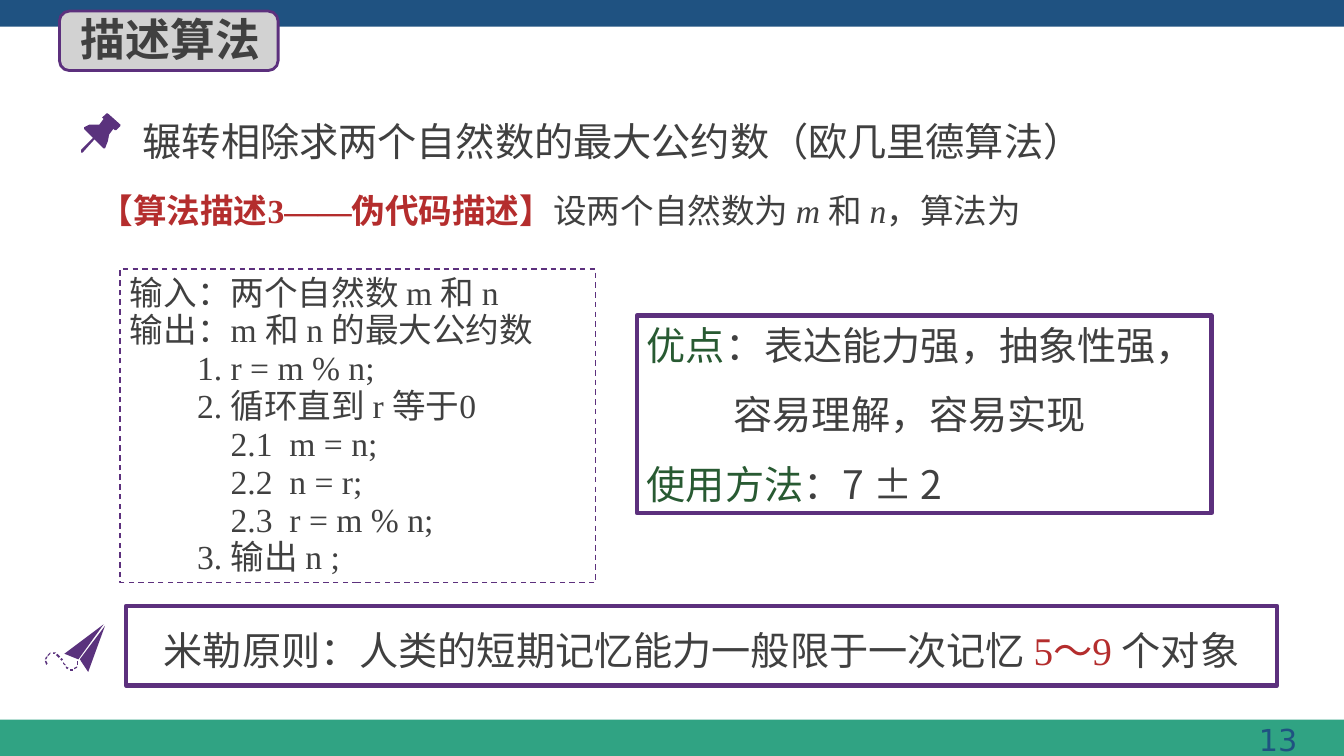
from dataclasses import dataclass
from math import hypot
from typing import Optional

from lxml.etree import SubElement
from pptx import Presentation
from pptx.dml.color import RGBColor
from pptx.enum.dml import MSO_LINE
from pptx.enum.shapes import MSO_SHAPE
from pptx.enum.text import MSO_ANCHOR, MSO_AUTO_SIZE, PP_ALIGN
from pptx.oxml.ns import qn
from pptx.util import Pt

COLORS = {
    "text": "404040", "red": "B42D2D", "green": "285A32", "blue": "1F5281",
    "teal": "30A383", "frame": "5C307D", "icon": "5A327D", "badge": "D2D2D2",
}
SANS = "Noto Sans CJK SC"
SERIF = "Times New Roman"


@dataclass
class Span:
    text: str
    color: str = "text"
    font: str = SANS
    bold: bool = False
    italic: bool = False


@dataclass
class Line:
    spans: list[Span]
    indent: float = 0


@dataclass
class Panel:
    left: float
    top: float
    width: float
    height: float
    fill: Optional[str] = None
    line: Optional[str] = None
    weight: float = 0
    dashed: bool = False
    kind: MSO_SHAPE = MSO_SHAPE.RECTANGLE


def rgb(name: str) -> RGBColor:
    return RGBColor.from_string(COLORS[name])


def draw_panel(page, panel: Panel):
    shape = page.shapes.add_shape(panel.kind, Pt(panel.left), Pt(panel.top),
                                  Pt(panel.width), Pt(panel.height))
    shape.shadow.inherit = False
    if panel.fill:
        shape.fill.solid()
        shape.fill.fore_color.rgb = rgb(panel.fill)
    else:
        shape.fill.background()
    if panel.line:
        shape.line.color.rgb = rgb(panel.line)
        shape.line.width = Pt(panel.weight)
        if panel.dashed:
            shape.line.dash_style = MSO_LINE.DASH
    else:
        shape.line.fill.background()
    return shape


def draw_outline(page, points: list[tuple[float, float]]) -> None:
    builder = page.shapes.build_freeform(*points[0], scale=Pt(1))
    builder.add_line_segments(points[1:], close=True)
    shape = builder.convert_to_shape()
    shape.shadow.inherit = False
    shape.fill.solid()
    shape.fill.fore_color.rgb = rgb("icon")
    shape.line.fill.background()


def draw_dash(page, x1: float, y1: float, x2: float, y2: float) -> None:
    length = hypot(x2 - x1, y2 - y1)
    dx, dy = 0.6 * (y1 - y2) / length, 0.6 * (x2 - x1) / length
    draw_outline(page, [(x1 + dx, y1 + dy), (x2 + dx, y2 + dy),
                        (x2 - dx, y2 - dy), (x1 - dx, y1 - dy)])


def write(shape, lines: list[Line], *, size: float, align=PP_ALIGN.LEFT,
          anchor=MSO_ANCHOR.TOP, spacing=None, gap: float = 0) -> None:
    frame = shape.text_frame
    frame.word_wrap = True
    frame.auto_size = MSO_AUTO_SIZE.NONE
    frame.vertical_anchor = anchor
    for index, line in enumerate(lines):
        para = frame.add_paragraph() if index else frame.paragraphs[0]
        para.alignment = align
        para.line_spacing = spacing
        para.space_before = Pt(gap if index else 0)
        if line.indent:
            properties = para._p.get_or_add_pPr()
            properties.set("marL", str(Pt(line.indent)))
            properties.set("indent", "0")
        for span in line.spans:
            run = para.add_run()
            run.text = span.text
            run.font.size = Pt(size)
            run.font.bold = span.bold
            run.font.italic = span.italic
            run.font.color.rgb = rgb(span.color)
            run.font.name = span.font
            SubElement(run.font._element, qn("a:ea"), typeface=SANS)


def add_text(page, left: float, top: float, width: float, height: float,
             lines: list[Line], **style) -> None:
    box = page.shapes.add_textbox(Pt(left), Pt(top), Pt(width), Pt(height))
    write(box, lines, **style)


BANDS = [Panel(0, 514, 960, 26, fill="teal"), Panel(0, 0, 960, 19, fill="blue")]
BADGE = Panel(42.5, 7.9, 156.2, 42.5, "badge", "frame", 2,
              kind=MSO_SHAPE.ROUNDED_RECTANGLE)
CODE_PANEL = Panel(85.7, 192.2, 339.8, 223.9, line="frame", weight=1, dashed=True)
MERIT_PANEL = Panel(455, 225.4, 410.4, 141.1, line="frame", weight=3)
MILLER_PANEL = Panel(90, 432.7, 822.2, 56.9, line="frame", weight=3)

INTRO = [Line([
    Span("【算法描述3——伪代码描述】", "red", SERIF, bold=True),
    Span("设两个自然数为 ", font=SERIF), Span("m ", font=SERIF, italic=True),
    Span("和 ", font=SERIF), Span("n", font=SERIF, italic=True),
    Span("，算法为", font=SERIF),
])]
CODE = [
    (0, "输入：两个自然数 m 和 n"),
    (0, "输出：m 和 n 的最大公约数"),
    (48, "1. r = m % n;"),
    (48, "2. 循环直到 r 等于0"),
    (72, "2.1  m = n;"),
    (72, "2.2  n = r;"),
    (72, "2.3  r = m % n;"),
    (48, "3. 输出 n ;"),
]
MERITS = [
    Line([Span("优点", "green"), Span("：表达能力强，抽象性强，")]),
    Line([Span("容易理解，容易实现")], indent=62),
    Line([Span("使用方法", "green"), Span("：7 ± 2")]),
]
MILLER = [Line([
    Span("米勒原则：人类的短期记忆能力一般限于一次记忆 "),
    Span("5～9 ", "red", SERIF), Span("个对象"),
])]

PIN_HEAD = [
    (85.7, 89.3), (77, 80.6), (76.3, 80.6), (73.4, 83.5), (74.2, 85), (70.6, 88.6),
    (67.7, 88.6), (63.7, 89.4), (60.5, 91.4), (60.5, 92.2), (74.2, 105.8),
    (74.9, 105.8), (77.4, 101.1), (77.8, 95.8), (81.4, 92.2), (82.1, 92.9),
    (82.8, 92.9), (85.7, 90),
]
PIN_NEEDLE = [(58.3, 108.7), (57.6, 108), (57.6, 107.3), (67, 97.9),
              (68.4, 97.9), (68.4, 99.4), (59, 108.7)]
PLANE_BODY = [(74.9, 447.1), (63.4, 480.2), (56.9, 470.9)]
PLANE_WING = [(74.2, 446.4), (56.2, 470.9), (46.1, 466.6)]
PLANE_TRAIL = [
    (55.6, 472.3, 55.1, 475.2), (55, 476.2, 52.9, 477.9), (52.4, 478.1, 49.8, 478.1),
    (48.8, 477.4, 46.9, 476.2), (46.7, 475, 45, 473.2), (44.6, 471.8, 43.3, 470.3),
    (42.6, 469.1, 40.8, 467.6), (39.5, 466.9, 37.7, 466.7), (36.1, 466.7, 34.1, 468.1),
    (33.5, 474.4, 32.8, 472), (33.1, 468.9, 32.6, 471),
]


def main() -> None:
    deck = Presentation()
    deck.slide_width, deck.slide_height = Pt(960), Pt(540)
    page = deck.slides.add_slide(deck.slide_layouts[5])

    for panel in [*BANDS, BADGE]:
        draw_panel(page, panel)
    title = page.shapes.title
    title.left, title.top, title.width, title.height = Pt(50.4), Pt(5), Pt(151.2), Pt(46)
    write(title, [Line([Span("描述算法", bold=True)])], size=32)
    title.element.getparent().append(title.element)

    add_text(page, 722.2, 511.9, 211.7, 33.1, [Line([Span("13", "blue", "DejaVu Sans")])],
             size=21.6, align=PP_ALIGN.RIGHT)
    add_text(page, 95, 73.4, 815.8, 43.9,
             [Line([Span("辗转相除求两个自然数的最大公约数（欧几里德算法）")])],
             size=28, spacing=1.2)
    add_text(page, 64.1, 126, 761, 42.5, INTRO, size=24, spacing=Pt(35),
             anchor=MSO_ANCHOR.MIDDLE)
    write(draw_panel(page, CODE_PANEL),
          [Line([Span(text, font=SERIF)], indent) for indent, text in CODE],
          size=24, spacing=Pt(27))
    write(draw_panel(page, MERIT_PANEL), MERITS, size=28, gap=16,
          anchor=MSO_ANCHOR.MIDDLE)
    write(draw_panel(page, MILLER_PANEL), MILLER, size=28, spacing=Pt(40),
          align=PP_ALIGN.CENTER, anchor=MSO_ANCHOR.MIDDLE)

    for outline in (PIN_HEAD, PIN_NEEDLE, PLANE_BODY, PLANE_WING):
        draw_outline(page, outline)
    for dash in PLANE_TRAIL:
        draw_dash(page, *dash)
    deck.save("out.pptx")


if __name__ == "__main__":
    main()
